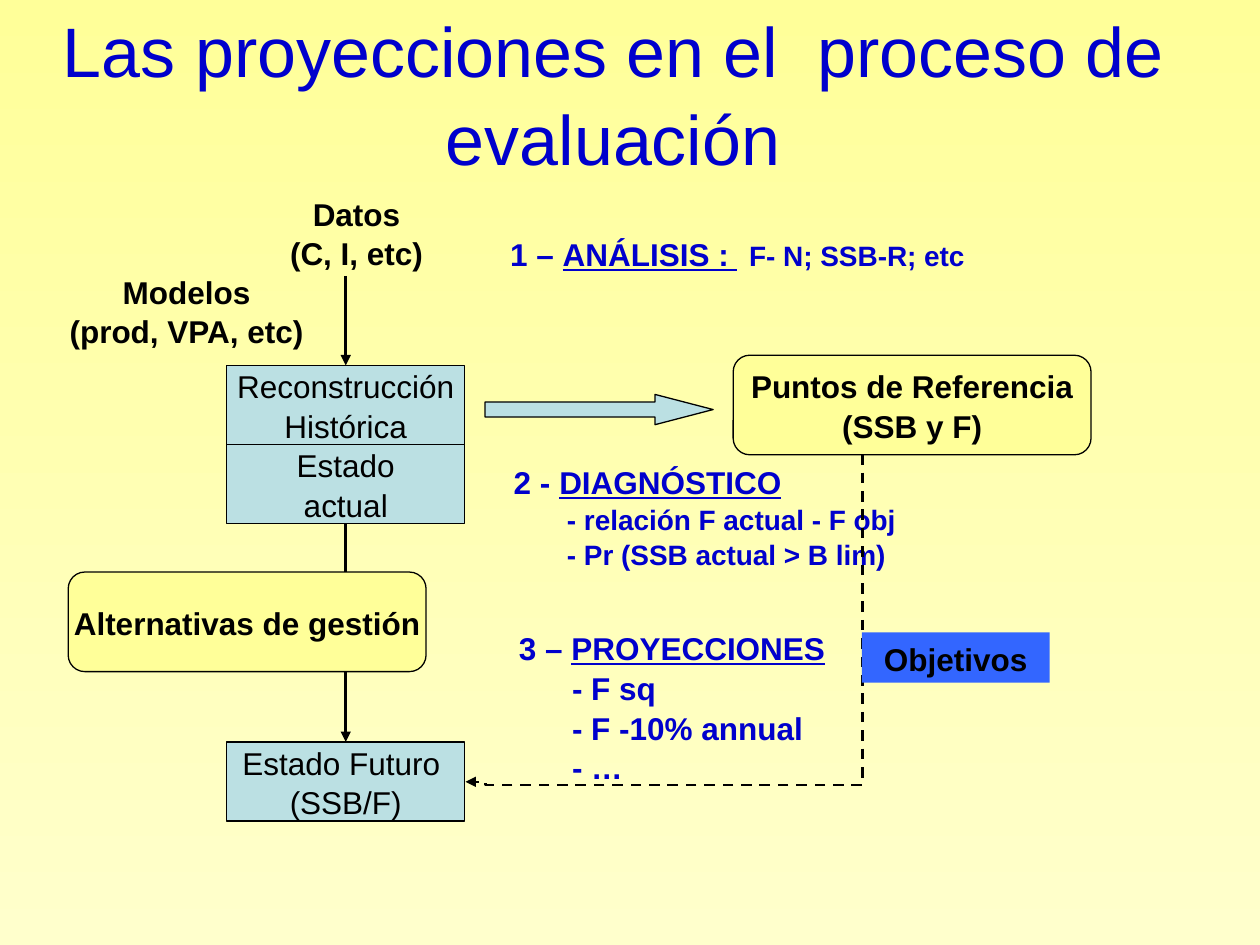
from lxml.etree import SubElement
from pptx import Presentation
from pptx.dml.color import RGBColor
from pptx.enum.dml import MSO_LINE
from pptx.enum.shapes import MSO_CONNECTOR, MSO_SHAPE
from pptx.enum.text import MSO_ANCHOR, MSO_AUTO_SIZE, PP_ALIGN
from pptx.oxml.ns import qn
from pptx.util import Pt

BLUE = RGBColor(0x00, 0x00, 0xCC)
BLACK = RGBColor(0x00, 0x00, 0x00)
YELLOW = RGBColor(0xFF, 0xFF, 0x99)
CREAM = RGBColor(0xFF, 0xFF, 0xCC)
TEAL = RGBColor(0xBB, 0xE0, 0xE3)
BRIGHT = RGBColor(0x33, 0x66, 0xFF)

TITLE = "Las proyecciones en el  proceso de evaluación"
PLAIN = {"size": Pt(18), "bold": False, "color": BLACK}
BOLD = {**PLAIN, "bold": True}
HEAD = {**BOLD, "color": BLUE}
UNDER = {**HEAD, "underline": True}
SMALL = {**HEAD, "size": Pt(16)}

STATE = (136, 45.2)
ROUND = (204.5, 56.9)
COLUMN = 129.6
TOP = 208.8
TAB_STEP = 35.4

STATES = {
    "history": (TOP, ["Reconstrucción", "Histórica"]),
    "current": (TOP + STATE[1], ["Estado", "actual"]),
    "future": (424, ["Estado Futuro ", "(SSB/F)"]),
}
ROUNDED = [
    (419, 203, ["Puntos de Referencia", "(SSB y F)"]),
    (39, 326.9, ["Alternativas de gestión"]),
]
LABELS = [
    ((158.4, 106.6, 90.7, 50.4), ["Datos (C, I, etc)"]),
    ((17.3, 151.2, 178.6, 50.4), ["Modelos", "(prod, VPA, etc)"]),
]
STEPS = [
    ((279.4, 129.6, 317.5, 28.8), [
        [(" 1 – ", HEAD), ("ANÁLISIS : ", UNDER), ("\tF- N; SSB-R; etc", SMALL)]]),
    ((281.5, 259.9, 408.2, 67.7), [
        [(" 2 - ", HEAD), ("DIAGNÓSTICO", UNDER)],
        [("\t- relación F actual - F obj", SMALL)],
        [("\t- Pr (SSB actual > B lim)", SMALL)]]),
    ((284.4, 355, 295.2, 93.6), [
        [(" 3 – ", HEAD), ("PROYECCIONES", UNDER)],
        [("\t- F sq", HEAD)],
        [("\t- F -10% annual", HEAD)],
        [("\t- …", HEAD)]]),
]


def points(values):
    return [Pt(value) for value in values]


def write(shape, paras, align=PP_ALIGN.CENTER, anchor=MSO_ANCHOR.MIDDLE, wrap=True):
    frame = shape.text_frame
    settings = {"word_wrap": wrap, "auto_size": MSO_AUTO_SIZE.NONE, "vertical_anchor": anchor}
    for name, value in settings.items():
        setattr(frame, name, value)
    for index, pieces in enumerate(paras):
        para = frame.paragraphs[0] if index == 0 else frame.add_paragraph()
        para.alignment = align
        para.line_spacing = 1.05
        tabs = SubElement(para._p.get_or_add_pPr(), qn("a:tabLst"))
        for stop in range(8):
            SubElement(tabs, qn("a:tab"), pos=str(Pt(stop * TAB_STEP)), algn="l")
        for text, style in pieces:
            span = para.add_run()
            span.text = text
            span.font.name = "Arial"
            for name, value in style.items():
                if name == "color":
                    span.font.color.rgb = value
                else:
                    setattr(span.font, name, value)


def styled(lines, style):
    return [[(line, style)] for line in lines]


def add_box(page, kind, place, fill, outline=True):
    box = page.shapes.add_shape(kind, *points(place))
    box.shadow.inherit = False
    box.fill.solid()
    box.fill.fore_color.rgb = fill
    if outline:
        box.line.color.rgb = BLACK
        box.line.width = Pt(0.75)
    else:
        box.line.fill.background()
    return box


def add_arrow(page, kind, ends):
    arrow = page.shapes.add_connector(kind, *points(ends))
    arrow.line.color.rgb = BLACK
    arrow.line.width = Pt(1.5)
    properties = arrow._element.spPr
    SubElement(properties.find(qn("a:ln")), qn("a:tailEnd"), type="triangle")
    SubElement(properties, qn("a:effectLst"))
    return arrow


def add_feedback(page):
    arrow = add_arrow(page, MSO_CONNECTOR.ELBOW, (285.8, 239.8, 473, 466.6))
    arrow.line.dash_style = MSO_LINE.DASH
    properties = arrow._element.spPr
    properties.find(qn("a:xfrm")).set("rot", "5400000")
    geometry = properties.find(qn("a:prstGeom"))
    geometry.set("prst", "bentConnector4")
    guides = geometry.find(qn("a:avLst"))
    for name, value in (("adj1", 101000), ("adj2", 95000)):
        SubElement(guides, qn("a:gd"), name=name, fmla=f"val {value}")


def main():
    deck = Presentation()
    deck.slide_width, deck.slide_height = points((720, 540))
    page = deck.slides.add_slide(deck.slide_layouts[5])
    backdrop = page.background.fill
    backdrop.gradient()
    backdrop.gradient_angle = 270
    for stop, color in zip(backdrop.gradient_stops, (YELLOW, CREAM)):
        stop.color.rgb = color

    title = page.shapes.title
    title.left, title.top, title.width, title.height = points((0, 21.6, 700.6, 61.2))
    write(title, [[(TITLE, {"size": Pt(40), "color": BLUE})]])

    boxes = {}
    for name, (top, lines) in STATES.items():
        boxes[name] = add_box(page, MSO_SHAPE.RECTANGLE, (COLUMN, top, *STATE), TEAL)
        write(boxes[name], styled(lines, PLAIN), wrap=False)

    middle = COLUMN + STATE[0] / 2
    data_arrow = add_arrow(page, MSO_CONNECTOR.STRAIGHT, (middle, 157.7, middle, TOP))
    data_arrow.end_connect(boxes["history"], 0)
    future_arrow = add_arrow(page, MSO_CONNECTOR.STRAIGHT, (middle, 299.2, middle, 424))
    future_arrow.begin_connect(boxes["current"], 2)
    future_arrow.end_connect(boxes["future"], 0)

    for left, top, lines in ROUNDED:
        box = add_box(page, MSO_SHAPE.ROUNDED_RECTANGLE, (left, top, *ROUND), YELLOW)
        write(box, styled(lines, BOLD), wrap=False)
    block = add_box(page, MSO_SHAPE.RIGHT_ARROW, (277.2, 225.4, 130.3, 17.3), TEAL)
    block.adjustments[0] = 0.5
    block.adjustments[1] = 1.92

    for place, lines in LABELS:
        label = page.shapes.add_textbox(*points(place))
        write(label, styled(lines, BOLD), anchor=MSO_ANCHOR.TOP)
    for place, paras in STEPS:
        step = page.shapes.add_textbox(*points(place))
        write(step, paras, PP_ALIGN.LEFT, MSO_ANCHOR.TOP)

    add_feedback(page)
    goals = add_box(page, MSO_SHAPE.RECTANGLE, (492.5, 361.4, 107.3, 28.8), BRIGHT, outline=False)
    write(goals, styled(["Objetivos"], BOLD), anchor=MSO_ANCHOR.TOP)
    deck.save("out.pptx")


if __name__ == "__main__":
    main()
